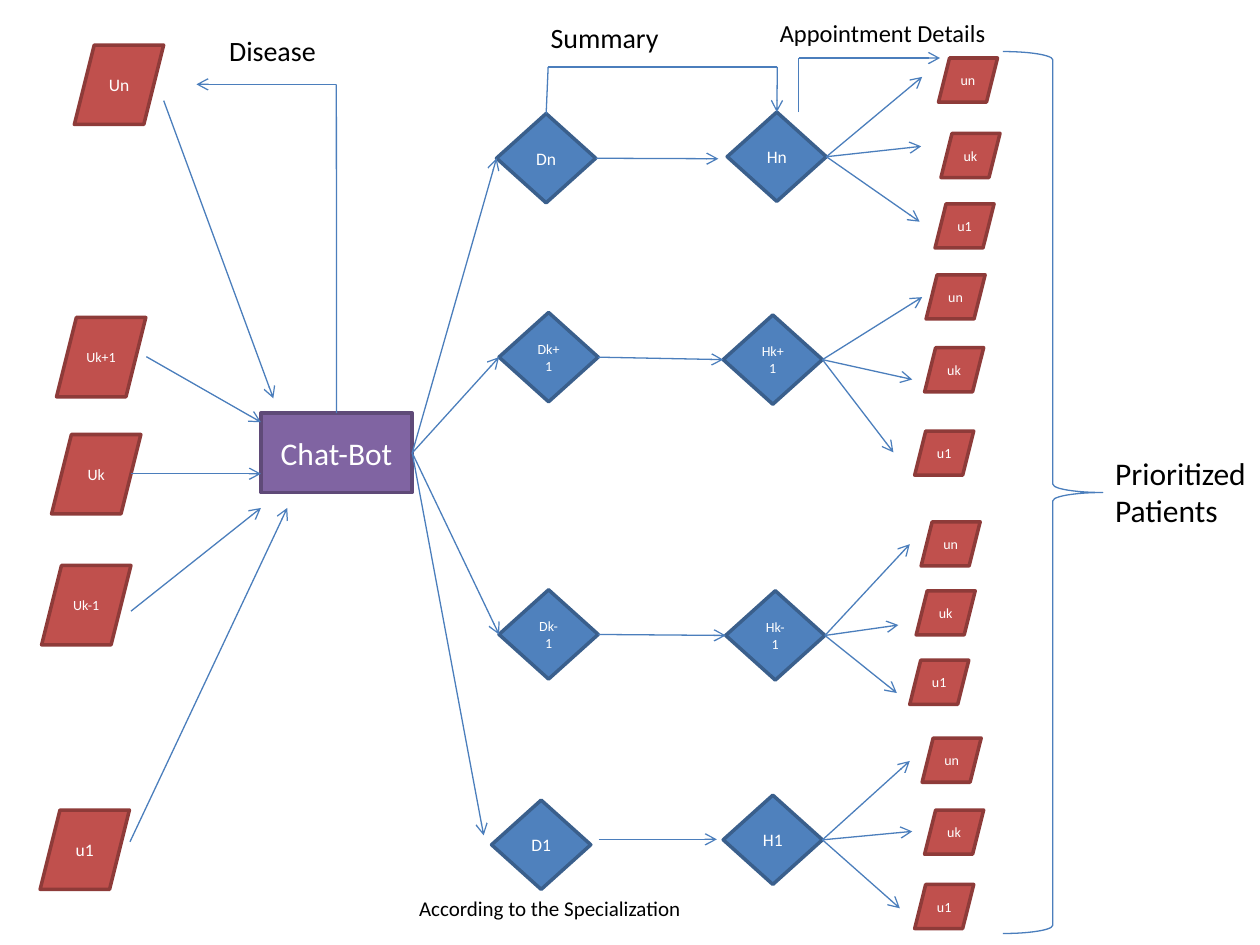
from itertools import pairwise

from lxml import etree
from pptx import Presentation
from pptx.dml.color import RGBColor
from pptx.enum.shapes import MSO_CONNECTOR, MSO_SHAPE as Shape
from pptx.enum.text import MSO_ANCHOR, MSO_AUTO_SIZE, PP_ALIGN
from pptx.oxml.ns import qn
from pptx.util import Cm, Pt

COLORS = {
    "red": "C0504D", "red edge": "8E3B39",
    "blue": "4F81BD", "blue edge": "3A5F8C",
    "purple": "8064A2", "purple edge": "5F4A78",
    "line": "4B7EBC", "white": "FFFFFF", "black": "000000",
}
FONT = "Calibri"
TOP, LEFT, RIGHT = 0, 1, 3

# All positions and sizes are in centimetres.
USER_SIZE, NODE_SIZE, PATIENT_SIZE = (1.8, 1.6), (2, 1.8), (1.19, 0.89)
CHAT_BOT = ("Chat-Bot", 18, (5.26, 8.33), (3.05, 1.6))

# label, font size, position, arrow start, arrow end
USERS = [
    ("Un", 10, (1.5, 0.91), (3.3, 2.03), (5.51, 8.03)),
    ("Uk+1", 8, (1.14, 6.4), (2.95, 7.19), (5.26, 8.51)),
    ("Uk", 9, (1.04, 8.76), (2.64, 9.55), (5.26, 9.55)),
    ("Uk-1", 8, (0.84, 11.4), (2.64, 12.32), (5.26, 10.24)),
    ("u1", 10, (0.81, 16.33), (2.62, 16.97), (5.79, 10.24)),
]

# An arrow end of None is joined to the neighbouring node.
ROWS = [
    {"index": "n", "size": 10, "doctor": (10.01, 2.29), "hospital": (14.66, 2.26),
     "doctor tip": None, "link": (None, (14.48, 3.2)),
     "patients": [(18.92, 1.17), (18.97, 2.69), (18.85, 4.11)],
     "tips": [(18.59, 1.55), (18.57, 2.95), (18.54, 4.47)]},
    {"index": "k+1", "size": 8, "doctor": (10.06, 6.3), "hospital": (14.58, 6.35),
     "doctor tip": None, "link": (None, None),
     "patients": [(18.67, 5.54), (18.64, 7.01), (18.44, 8.69)],
     "tips": [(18.59, 5.99), (18.39, 7.65), (18.01, 9.12)]},
    {"index": "k-1", "size": 8, "doctor": (10.06, 11.89), "hospital": (14.63, 11.91),
     "doctor tip": None, "link": (None, None),
     "patients": [(18.57, 10.52), (18.47, 11.91), (18.34, 13.31)],
     "tips": [(18.34, 10.97), (18.11, 12.6), (18.08, 13.97)]},
    {"index": "1", "size": 10, "doctor": (9.91, 16.13), "hospital": (14.58, 16.03),
     "doctor tip": (9.75, 16.84), "link": ((12.07, 16.92), (14.45, 16.92)),
     "patients": [(18.59, 14.88), (18.64, 16.33), (18.44, 17.83)],
     "tips": [(18.34, 15.34), (18.39, 16.76), (18.14, 18.31)]},
]
PATIENT_LABELS = ["un", "uk", "u1"]

# text lines, font size, position, size
CAPTIONS = [
    (["Disease"], 16, (4.37, 0.56), (2.29, 0.94)),
    (["According to the Specialization"], 12, (8.2, 17.93), (5.84, 0.76)),
    (["Summary"], 16, (10.85, 0.28), (2.72, 0.94)),
    (["Appointment Details"], 14, (15.47, 0.23), (4.7, 0.86)),
    (["Prioritized", "Patients"], 18, (22.23, 9.02), (3.18, 1.8)),
]
BRACE = ((20.22, 1.04), (2.01, 17.78))


def rgb(name):
    return RGBColor.from_string(COLORS[name])


def set_font(para, size, color):
    para.font.name = FONT
    para.font.size = Pt(size)
    para.font.color.rgb = rgb(color)


def add_node(page, kind, color, label, size, position, extent):
    node = page.shapes.add_shape(kind, *map(Cm, position + extent))
    node.shadow.inherit = False
    node.fill.solid()
    node.fill.fore_color.rgb = rgb(color)
    node.line.color.rgb = rgb(f"{color} edge")
    node.line.width = Pt(2)
    frame = node.text_frame
    frame.word_wrap = True
    frame.vertical_anchor = MSO_ANCHOR.MIDDLE
    para = frame.paragraphs[0]
    para.text = label
    para.alignment = PP_ALIGN.CENTER
    set_font(para, size, "white")
    return node


def add_line(page, start, end, arrow=True):
    """Each end is an (x, y) point or a (shape, connection site) pair."""
    joined = [not isinstance(place[0], (int, float)) for place in (start, end)]
    points = [(0, 0) if join else place for join, place in zip(joined, (start, end))]
    line = page.shapes.add_connector(
        MSO_CONNECTOR.STRAIGHT, *map(Cm, points[0] + points[1]))
    if joined[0]:
        line.begin_connect(*start)
    if joined[1]:
        line.end_connect(*end)
    line.line.color.rgb = rgb("line")
    line.line.width = Pt(0.75)
    if arrow:
        etree.SubElement(line.line._get_or_add_ln(), qn("a:tailEnd"), type="arrow")
    etree.SubElement(line._element.spPr, qn("a:effectLst"))


def add_path(page, *places):
    """Chain of lines with an arrowhead on the last one."""
    legs = list(pairwise(places))
    for number, (start, end) in enumerate(legs, 1):
        add_line(page, start, end, arrow=number == len(legs))


def add_caption(page, lines, size, position, extent):
    box = page.shapes.add_textbox(*map(Cm, position + extent))
    frame = box.text_frame
    frame.word_wrap = False
    frame.auto_size = MSO_AUTO_SIZE.SHAPE_TO_FIT_TEXT
    frame.text = "\n".join(lines)
    for para in frame.paragraphs:
        set_font(para, size, "black")


def add_row(page, row, chat_bot):
    doctor, hospital = (
        add_node(page, Shape.FLOWCHART_DECISION, "blue", letter + row["index"],
                 row["size"], row[role], NODE_SIZE)
        for letter, role in (("D", "doctor"), ("H", "hospital")))
    add_line(page, (chat_bot, RIGHT), row["doctor tip"] or (doctor, LEFT))
    start, end = row["link"]
    add_line(page, start or (doctor, RIGHT), end or (hospital, LEFT))
    for label, position, tip in zip(PATIENT_LABELS, row["patients"], row["tips"]):
        add_line(page, (hospital, RIGHT), tip)
        add_node(page, Shape.PARALLELOGRAM, "red", label, 8, position, PATIENT_SIZE)
    return doctor, hospital


def main():
    deck = Presentation()
    deck.slide_width, deck.slide_height = Cm(25.4), Cm(19.05)
    page = deck.slides.add_slide(deck.slide_layouts[6])

    chat_bot = add_node(page, Shape.RECTANGLE, "purple", *CHAT_BOT)
    for label, size, position, start, end in USERS:
        add_node(page, Shape.PARALLELOGRAM, "red", label, size, position, USER_SIZE)
        add_line(page, start, end)

    nodes = [add_row(page, row, chat_bot) for row in ROWS]
    doctor, hospital = nodes[0]
    add_path(page, (chat_bot, TOP), (6.78, 1.7), (3.96, 1.7))
    add_path(page, (doctor, TOP), (11.05, 1.35), (15.67, 1.35), (hospital, TOP))
    add_path(page, (16.1, 2.26), (16.1, 1.17), (18.95, 1.17))

    position, extent = BRACE
    brace = page.shapes.add_shape(Shape.RIGHT_BRACE, *map(Cm, position + extent))
    brace.shadow.inherit = False
    brace.fill.background()
    brace.line.color.rgb = rgb("line")
    brace.line.width = Pt(0.75)

    for caption in CAPTIONS:
        add_caption(page, *caption)
    deck.save("out.pptx")


if __name__ == "__main__":
    main()
